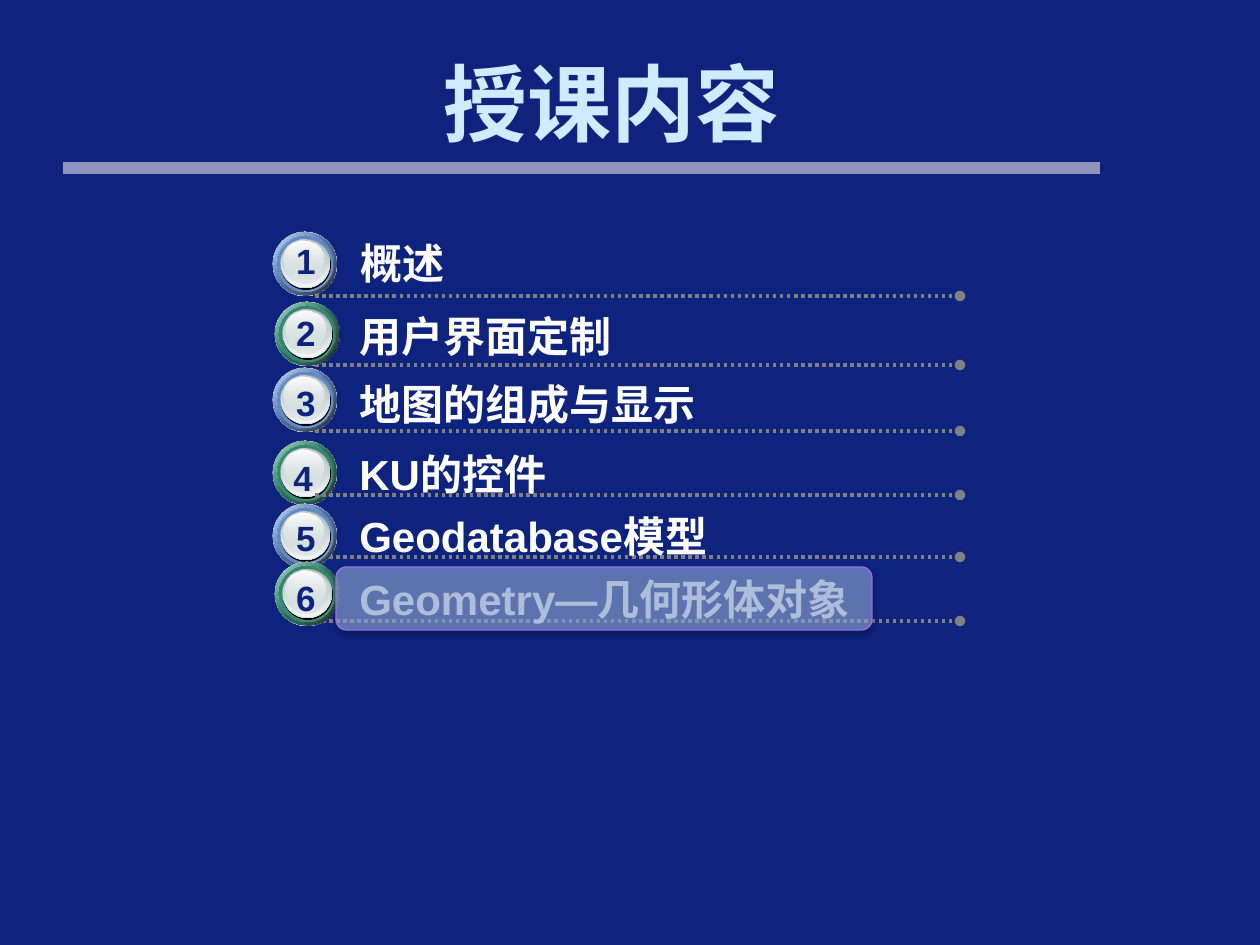
from dataclasses import dataclass

from lxml import etree
from pptx import Presentation
from pptx import util as u
from pptx.dml.color import RGBColor
from pptx.enum import dml, shapes, text
from pptx.oxml import ns

PX = u.Inches(1) / 126
FONT = "Arial"
NAVY = RGBColor(0x0E, 0x23, 0x7E)
ICE = RGBColor(0xCC, 0xEC, 0xFF)
WHITE = RGBColor(0xFF, 0xFF, 0xFF)
BLACK = RGBColor(0, 0, 0)
GRAY = RGBColor(0x80, 0x80, 0x80)
LAVENDER = RGBColor(0x92, 0x94, 0xC0)
VEIL = RGBColor(0x99, 0xB3, 0xE6)
VIOLET = RGBColor(0x93, 0x6E, 0xF0)
SILVER_DARK = RGBColor(0x99, 0xA1, 0xA2)
SILVER_MID = RGBColor(0xC1, 0xCB, 0xCC)
SILVER = RGBColor(0xD6, 0xE1, 0xE2)
SILVER_LIGHT = RGBColor(0xF2, 0xF5, 0xF5)


@dataclass
class Ring:
    base: RGBColor
    edge: RGBColor
    shade: RGBColor


@dataclass
class Topic:
    title: str
    badge: tuple
    label: tuple
    digit: tuple
    rule_y: int
    rule_in_front: bool = False


BLUE = Ring(RGBColor(0x70, 0x9E, 0xE2), RGBColor(0x56, 0x79, 0xAD), RGBColor(0x5C, 0x82, 0xBA))
GREEN = Ring(RGBColor(0x3B, 0x9D, 0x81), RGBColor(0x2D, 0x78, 0x63), RGBColor(0x30, 0x81, 0x6A))

TOPICS = [
    Topic("概述", (273, 232), (348, 231, 460), (284, 233), 296),
    Topic("用户界面定制", (275, 302), (347, 304, 494), (284, 305), 365),
    Topic("地图的组成与显示", (273, 368), (347, 372, 651), (284, 375), 431),
    Topic("KU的控件", (273, 441), (347, 442, 714), (281, 450), 495, True),
    Topic("Geodatabase模型", (273, 504), (347, 504, 620), (284, 510), 557),
    Topic("Geometry—几何形体对象", (275, 562), (347, 567, 640), (284, 570), 621),
]


def emu(*lengths):
    return [u.Emu(round(length * PX)) for length in lengths]


def add_child(parent, tag, **attributes):
    return etree.SubElement(parent, ns.qn(tag), {k: str(v) for k, v in attributes.items()})


def add_color(parent, color, opacity):
    rgb = add_child(parent, "a:srgbClr", val=color)
    if opacity < 100:
        add_child(rgb, "a:alpha", val=opacity * 1000)


def write(slide, box, words, size, color, align=text.PP_ALIGN.LEFT):
    area = slide.shapes.add_textbox(*emu(*box))
    frame = area.text_frame
    frame.word_wrap = True
    frame.text = words
    paragraph = frame.paragraphs[0]
    paragraph.alignment = align
    font = paragraph.runs[0].font
    font.name, font.size, font.bold = FONT, u.Pt(size), True
    font.color.rgb = color
    return frame


def draw_line(slide, left, right, y, color, width):
    line = slide.shapes.add_connector(shapes.MSO_CONNECTOR.STRAIGHT, *emu(left, y, right, y))
    line.line.color.rgb = color
    line.line.width = u.Pt(width)
    add_child(line._element.spPr, "a:effectLst")
    return line


def draw_rule(slide, y):
    rule = draw_line(slide, 315, 960, y, GRAY, 2)
    rule.line.dash_style = dml.MSO_LINE.ROUND_DOT
    add_child(rule.line._get_or_add_ln(), "a:tailEnd", type="oval")


def fill_gradient(shape, angle, stops):
    gradient = etree.Element(ns.qn("a:gradFill"), {"rotWithShape": "1"})
    stop_list = add_child(gradient, "a:gsLst")
    for position, color, opacity in stops:
        add_color(add_child(stop_list, "a:gs", pos=position * 1000), color, opacity)
    add_child(gradient, "a:lin", ang=angle * 60000, scaled=1)
    shape._element.spPr.find(ns.qn("a:prstGeom")).addnext(gradient)


def draw_badge(slide, left, top, ring):
    outer, inner = (0, 0, 64, 64), (4, 4, 56, 56)
    layers = [
        (outer, 45, [(0, WHITE, 100), (50, ring.base, 100), (100, WHITE, 100)]),
        (outer, 45, [(0, ring.base, 32), (100, BLACK, 90)]),
        (inner, 315, [(0, ring.edge, 100), (50, ring.base, 100), (100, ring.edge, 100)]),
        (inner, 45, [(0, ring.shade, 100), (100, ring.base, 0)]),
        ((8, 8, 50, 50), 0, None),
        ((8, 7, 49, 49), 90, [(0, SILVER_DARK, 100), (100, SILVER, 100)]),
        ((8, 7, 48, 48), 90, [(0, SILVER, 0), (100, SILVER_LIGHT, 100)]),
        ((8, 8, 45, 44), 90, [(0, SILVER_MID, 100), (100, SILVER, 48)]),
        ((11, 9, 40, 36), 90, [(0, WHITE, 100), (100, SILVER, 38)]),
    ]
    badge = slide.shapes.add_group_shape()
    for (x, y, width, height), angle, stops in layers:
        disc = badge.shapes.add_shape(
            shapes.MSO_SHAPE.OVAL, *emu(left + x, top + y, width, height))
        disc.shadow.inherit = False
        disc.line.fill.background()
        if stops:
            fill_gradient(disc, angle, stops)
        else:
            disc.fill.solid()
            disc.fill.fore_color.rgb = BLACK


def draw_topic(slide, number, topic):
    if not topic.rule_in_front:
        draw_rule(slide, topic.rule_y)
    label_left, label_top, label_width = topic.label
    write(slide, (label_left, label_top, label_width, 63), topic.title, 24, WHITE)
    draw_badge(slide, *topic.badge, BLUE if number % 2 else GREEN)
    digit = write(slide, (*topic.digit, 44, 54), str(number), 20, NAVY, text.PP_ALIGN.CENTER)
    digit.margin_left = digit.margin_right = 0
    if topic.rule_in_front:
        draw_rule(slide, topic.rule_y)


def draw_header(slide, left, top, width, height):
    title = write(slide, (left, top, width, height), "授课内容", 48, ICE)
    title.vertical_anchor = text.MSO_ANCHOR.MIDDLE
    draw_line(slide, 63, 1100, 168, LAVENDER, 7)


def draw_veil(slide, left, top, width, height):
    veil = slide.shapes.add_shape(
        shapes.MSO_SHAPE.ROUNDED_RECTANGLE, *emu(left, top, width, height))
    veil.fill.solid()
    veil.fill.fore_color.rgb = VEIL
    veil.line.color.rgb = VIOLET
    veil.line.width = u.Pt(0.75)
    veil.shadow.inherit = False
    properties = veil._element.spPr
    tint = properties.find(ns.qn("a:solidFill")).find(ns.qn("a:srgbClr"))
    add_child(tint, "a:alpha", val=58000)
    shadow = add_child(
        properties.find(ns.qn("a:effectLst")), "a:outerShdw",
        blurRad=u.Pt(3.1), dist=u.Pt(1.8), dir=5400000, rotWithShape=0)
    add_color(shadow, BLACK, 35)


def main():
    deck = Presentation()
    deck.slide_width, deck.slide_height = u.Inches(10), u.Inches(7.5)
    slide = deck.slides.add_slide(deck.slide_layouts[6])
    slide.background.fill.solid()
    slide.background.fill.fore_color.rgb = NAVY
    draw_header(slide, 431, 63, 378, 78)
    for number, topic in enumerate(TOPICS, 1):
        draw_topic(slide, number, topic)
    draw_veil(slide, 336, 567, 536, 63)
    deck.save("out.pptx")


if __name__ == "__main__":
    main()
